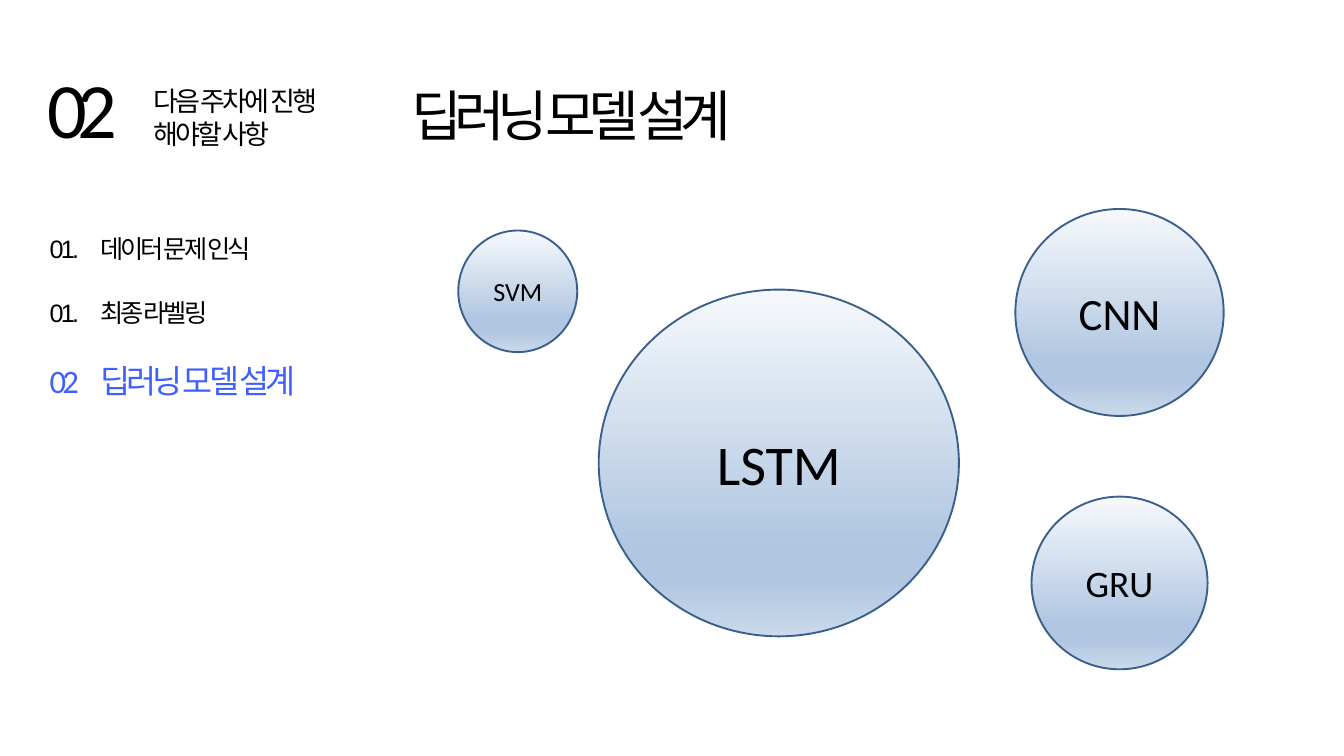
import pptx
import pptx.util
import pptx.dml.color
import pptx.enum.shapes
import pptx.enum.text
import pptx.oxml
import pptx.oxml.ns
from lxml import etree

Inches = pptx.util.Inches
Color = pptx.dml.color.RGBColor
qn = pptx.oxml.ns.qn

BLACK = Color(0x00, 0x00, 0x00)
BLUE = Color(0x3F, 0x5F, 0xFF)
EDGE = Color(0x3A, 0x5F, 0x8C)
PALE = Color(0xF6, 0xF9, 0xFC)
MID = Color(0xB0, 0xC6, 0xE1)
LIGHT = Color(0xCA, 0xD9, 0xEB)
STOPS = [(0, PALE), (74, MID), (83, MID), (100, LIGHT)]

TAB = 0.75


def style(run, size, face, color=BLACK, track=0):
    """Format a run; track is the letter spacing in points."""
    for name, value in {"size": pptx.util.Pt(size), "name": face}.items():
        setattr(run.font, name, value)
    run.font.color.rgb = color
    if track:
        run.font._element.set("spc", str(track * 100))


def add_text(slide, box, text, size, face, track, color=BLACK):
    frame = slide.shapes.add_textbox(*map(Inches, box)).text_frame
    frame.word_wrap = True
    para = frame.paragraphs[0]
    if "\t" in text:
        stops = etree.SubElement(para._p.get_or_add_pPr(), qn("a:tabLst"))
        etree.SubElement(stops, qn("a:tab"), pos=str(Inches(TAB)), algn="l")
    run = para.add_run()
    run.text = text
    style(run, size, face, color, track)


def add_head(slide, left, top):
    add_text(slide, (left, top, 2.19, 1.5), "02", 84, "Calibri", -10)
    add_text(slide, (left + 1.57, top + 0.36, 3.4, 1.08),
             "다음 주차에 진행 해야할 사항", 29, "Arial", -3)
    add_text(slide, (left + 5.41, top + 0.32, 9.18, 1.09),
             "딥러닝 모델 설계", 59, "Arial", -8)


def add_menu(slide, left, top, step):
    items = [
        ("01.\t데이터 문제 인식", 27, "Arial", -3, BLACK),
        ("01.\t최종 라벨링", 27, "Arial", -3, BLACK),
        ("02\t딥러닝 모델 설계", 35, "Calibri", -4, BLUE),
    ]
    for row, item in enumerate(items):
        add_text(slide, (left, top + row * step, 5.78, 0.6), *item)


def shade(fill):
    """Fill from top to bottom with the four gradient stops."""
    fill.gradient()
    fill.gradient_angle = 270
    stops = fill._xPr.find(qn("a:gradFill")).find(qn("a:gsLst"))
    for old in list(stops):
        stops.remove(old)
    for place, color in STOPS:
        stop = etree.SubElement(stops, qn("a:gs"), pos=str(place * 1000))
        etree.SubElement(stop, qn("a:srgbClr"), val=str(color))


def add_ball(slide, box, label, size):
    ball = slide.shapes.add_shape(
        pptx.enum.shapes.MSO_SHAPE.OVAL, *map(Inches, box))
    ball.shadow.inherit = False
    shade(ball.fill)
    ball.line.color.rgb = EDGE
    ball.line.width = pptx.util.Pt(2)
    frame = ball.text_frame
    frame.vertical_anchor = pptx.enum.text.MSO_ANCHOR.MIDDLE
    para = frame.paragraphs[0]
    para.alignment = pptx.enum.text.PP_ALIGN.CENTER
    run = para.add_run()
    run.text = label
    style(run, size, "Calibri")


def add_balls(slide, left, top):
    """Place the model circles, given from the corner of their area."""
    balls = [
        ("SVM", 28, 0, 0.32, 1.77, 1.81),
        ("CNN", 48, 8.29, 0, 3.1, 3.08),
        ("LSTM", 60, 2.09, 1.2, 5.36, 5.16),
        ("GRU", 40, 8.53, 4.28, 2.62, 2.57),
    ]
    for label, size, x, y, wide, high in balls:
        add_ball(slide, (left + x, top + y, wide, high), label, size)


def main():
    deck = pptx.Presentation()
    deck.slide_width = Inches(20)
    deck.slide_height = Inches(11.25)
    slide = deck.slides.add_slide(deck.slide_layouts[6])
    add_head(slide, 0.61, 0.85)
    add_menu(slide, 0.64, 3.42, 0.95)
    add_balls(slide, 6.82, 3.11)
    deck.save("out.pptx")


if __name__ == "__main__":
    main()
